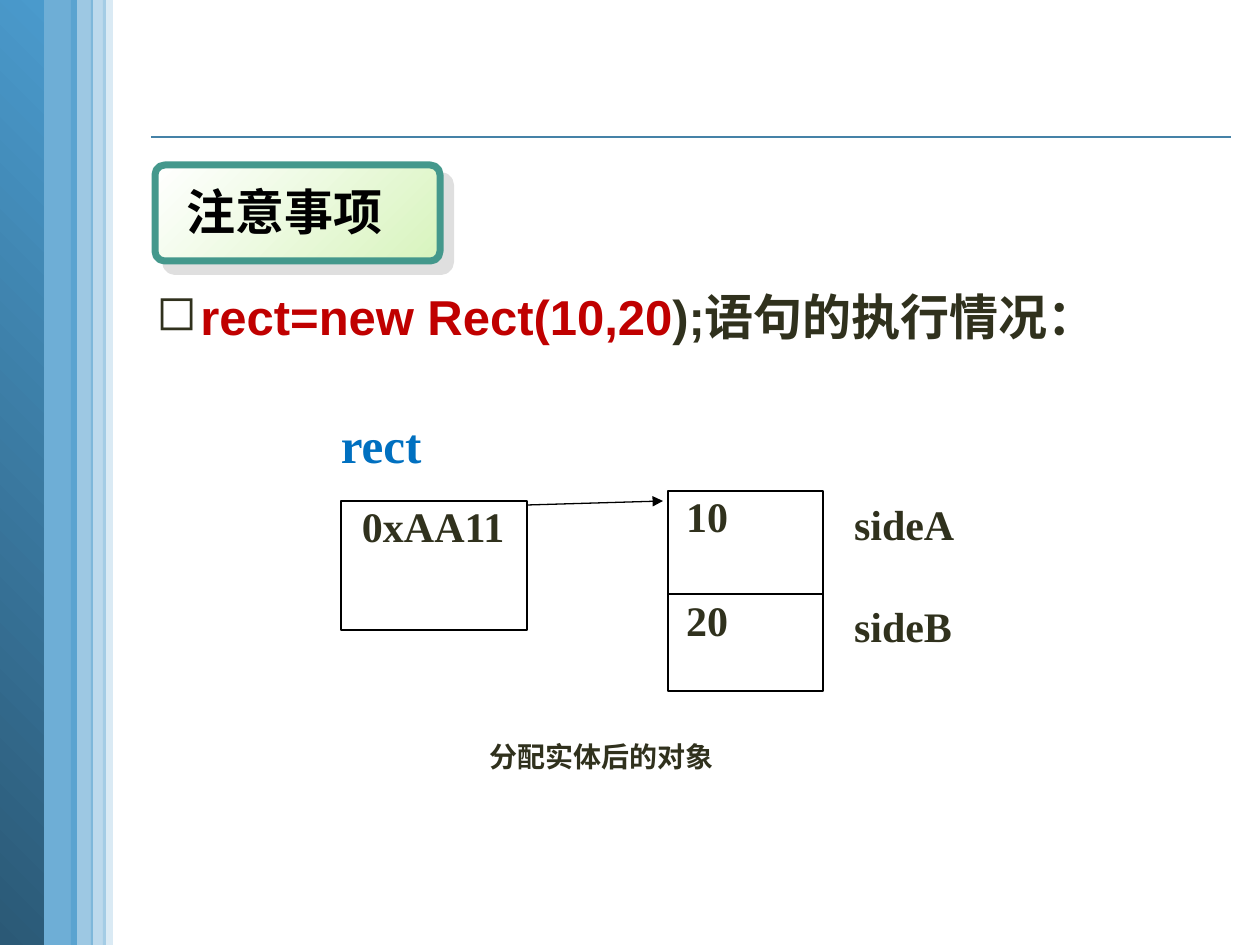
from collections import namedtuple
from dataclasses import dataclass

from lxml import etree
from pptx import Presentation
from pptx.dml.color import RGBColor
from pptx.enum.shapes import MSO_CONNECTOR as Connector
from pptx.enum.shapes import MSO_SHAPE as Preset
from pptx.enum.text import MSO_ANCHOR as Anchor
from pptx.enum.text import MSO_AUTO_SIZE as AutoSize
from pptx.enum.text import PP_ALIGN as Align
from pptx.oxml.ns import qn
from pptx.util import Pt

EMU_PER_PX = 914400 / 126
Box = namedtuple("Box", "left top width height")


@dataclass(frozen=True)
class Theme:
    sans: str = "Arial"
    serif: str = "Times New Roman"
    ink: str = "30311D"
    black: str = "000000"
    white: str = "FFFFFF"
    blue: str = "4A9ACC"
    deep_blue: str = "2B5976"
    rule: str = "4582A7"
    code: str = "C00000"
    variable: str = "0070C0"
    card_green: str = "D8F4BE"
    card_edge: str = "44988C"
    shadow: str = "C0C0C0"
    heading: int = 28
    value: int = 24
    caption: int = 16


THEME = Theme()


def px(length):
    return round(length * EMU_PER_PX)


def rgb(color):
    return RGBColor.from_string(color)


def within(box, left, top, width, height):
    return Box(box.left + left, box.top + top, width, height)


def sub(parent, tag, **attributes):
    return etree.SubElement(parent, qn(tag), attributes)


def add_block(page, box, fill=None, line=None, weight=0.75, preset=Preset.RECTANGLE):
    shape = page.shapes.add_shape(preset, *map(px, box))
    shape.shadow.inherit = False
    if fill:
        shape.fill.solid()
        shape.fill.fore_color.rgb = rgb(fill)
    if line:
        shape.line.color.rgb = rgb(line)
        shape.line.width = Pt(weight)
    else:
        shape.line.fill.background()
    return shape


def set_gradient(shape, start, end, clockwise):
    shape.fill.gradient()
    shape.fill.gradient_angle = 360 - clockwise
    for stop, position, color in zip(shape.fill.gradient_stops, (0, 1), (start, end)):
        stop.position = position
        stop.color.rgb = rgb(color)


def set_font(font, name, size, color=None):
    font.name, font.size, font.bold = name, Pt(size), True
    if color:
        font.color.rgb = rgb(color)


def add_line(page, start, end, color, weight):
    line = page.shapes.add_connector(Connector.STRAIGHT, *map(px, (*start, *end)))
    line.line.color.rgb = rgb(color)
    line.line.width = Pt(weight)
    sub(line._element.spPr, "a:effectLst")
    return line


def add_text(page, box):
    frame = page.shapes.add_textbox(*map(px, box)).text_frame
    frame.word_wrap = True
    frame.auto_size = AutoSize.SHAPE_TO_FIT_TEXT
    return frame.paragraphs[0]


def add_cell(page, box, text, size=THEME.value, color=THEME.ink, line=None, inset=0):
    frame = add_block(page, box, THEME.white, line).text_frame
    frame.word_wrap = True
    frame.vertical_anchor = Anchor.TOP
    frame.margin_left = px(inset)
    frame.margin_top = frame.margin_right = frame.margin_bottom = 0
    para = frame.paragraphs[0]
    para.text = text
    para.alignment = Align.JUSTIFY
    set_font(para.font, THEME.serif, size, color)


def draw_side_bars(page, box):
    def bar(left, width):
        return add_block(page, within(box, left, 0, width, box.height), THEME.blue)

    def clear_bar(left, width, percent):
        color = bar(left, width)._element.spPr.find(qn("a:solidFill"))[0]
        sub(color, "a:alpha", val=str(percent * 1000))

    clear_bar(38, 39, 80)
    set_gradient(bar(0, 44), THEME.deep_blue, THEME.blue, 315)
    for left, width, percent in ((103, 10, 20), (71, 22, 54), (91, 15, 37)):
        clear_bar(left, width, percent)


def draw_heading_card(page, box):
    card = add_block(page, box, line=THEME.card_edge, weight=4,
                     preset=Preset.ROUNDED_RECTANGLE)
    card.adjustments[0] = 0.1
    set_gradient(card, THEME.white, THEME.card_green, 45)
    effects = card._element.spPr.find(qn("a:effectLst"))
    shadow = sub(effects, "a:outerShdw", dist=str(Pt(8.5)), dir="2700000",
                 algn="ctr", rotWithShape="0")
    sub(sub(shadow, "a:srgbClr", val=THEME.shadow), "a:alpha", val="50000")
    para = add_text(page, within(box, 19, 10, 722, 72))
    para.text = "注意事项"
    set_font(para.font, THEME.sans, THEME.heading, THEME.black)


def draw_statement(page, box):
    para = add_text(page, box)
    indent = px(44)
    properties = para._p.get_or_add_pPr()
    properties.set("marL", str(indent))
    properties.set("indent", str(-indent))
    sub(sub(properties, "a:buClr"), "a:srgbClr", val=THEME.ink)
    sub(properties, "a:buChar", char="◻")
    set_font(para.font, THEME.sans, THEME.heading)
    for text, color in (("rect=new Rect(10,20", THEME.code),
                        (");语句的执行情况：", THEME.ink)):
        span = para.add_run()
        span.text = text
        span.font.color.rgb = rgb(color)


def draw_object_diagram(page, box):
    add_cell(page, within(box, 99, 326, 427, 97), "分配实体后的对象",
             THEME.caption, inset=50)
    fields = (("sideA", "10", 77, 103, 8), ("sideB", "20", 180, 97, 7))
    for name, value, top, height, drop in fields:
        add_cell(page, within(box, 513, top + drop, 155, height), name)
        add_cell(page, within(box, 327, top, 155, height), value,
                 line=THEME.black, inset=18)
    add_cell(page, within(box, 0, 87, 186, 129), "0xAA11", line=THEME.black, inset=21)
    arrow = add_line(page, (box.left + 186, box.top + 91),
                     (box.left + 322, box.top + 87), THEME.black, 0.75)
    sub(arrow.line._get_or_add_ln(), "a:tailEnd", type="triangle")
    add_cell(page, within(box, 0, 0, 316, 55), "rect", THEME.heading, THEME.variable)


def main():
    deck = Presentation()
    deck.slide_width, deck.slide_height = px(1260), px(945)
    page = deck.slides.add_slide(deck.slide_layouts[6])
    add_line(page, (151, 137), (1231, 137), THEME.rule, 1)
    draw_side_bars(page, Box(0, 0, 113, 945))
    draw_statement(page, Box(144, 280, 1067, 72))
    draw_heading_card(page, Box(155, 165, 285, 96))
    draw_object_diagram(page, Box(341, 414, 668, 409))
    deck.save("out.pptx")


if __name__ == "__main__":
    main()
